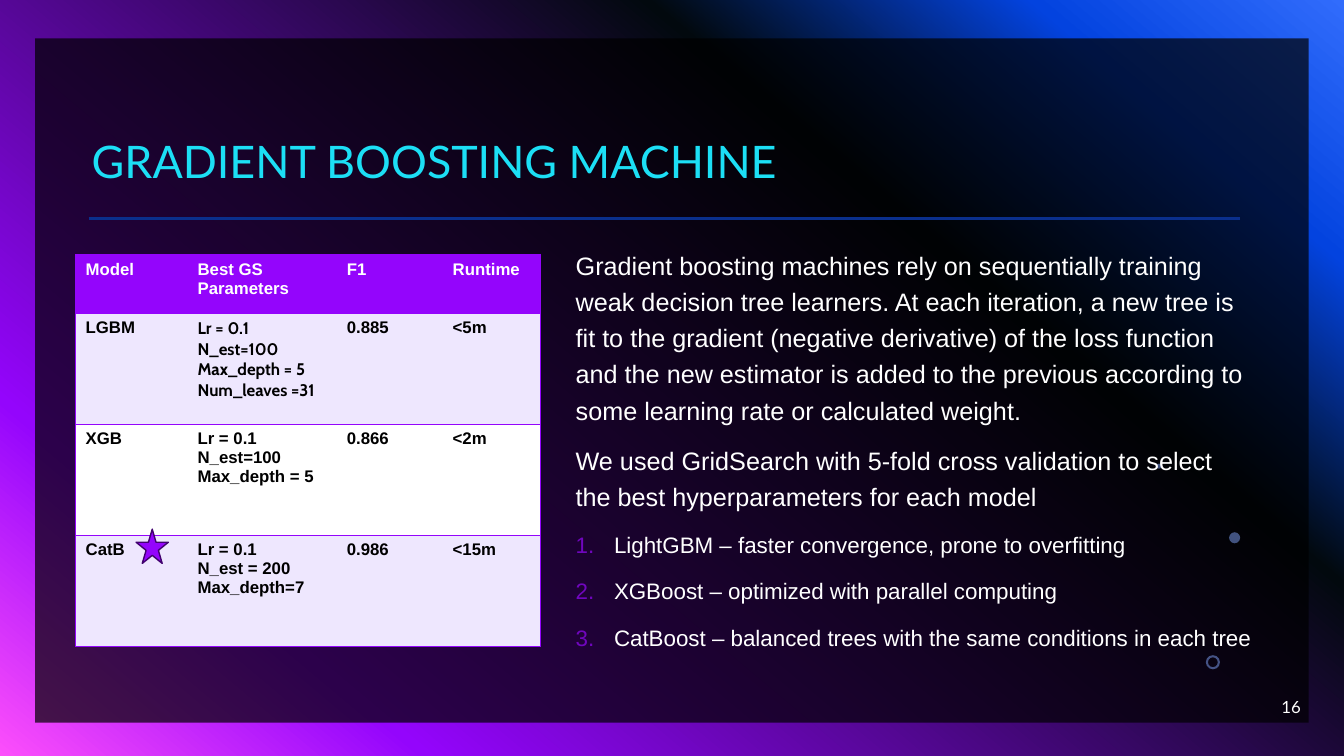
from lxml import etree
from pptx import Presentation
from pptx import util as u
from pptx.dml import color
from pptx.enum import shapes, text
from pptx.oxml import ns

PURPLE, WHITE, LAVENDER, BLACK = "9405FC", "FFFFFF", "EEE7FE", "000000"
MODELS = [
    ["Model", "Best GS Parameters", "F1", "Runtime"],
    ["LGBM", "Lr = 0.1\nN_est=100\nMax_depth = 5\nNum_leaves =31", "0.885", "<5m"],
    ["XGB", "Lr = 0.1\nN_est=100\nMax_depth = 5", "0.866", "<2m"],
    ["CatB", "Lr = 0.1\nN_est = 200\nMax_depth=7", "0.986", "<15m"],
]
PARAGRAPHS = [
    "Gradient boosting machines rely on sequentially training weak decision tree learners. "
    "At each iteration, a new tree is fit to the gradient (negative derivative) of the loss "
    "function and the new estimator is added to the previous according to some learning rate "
    "or calculated weight.",
    "We used GridSearch with 5-fold cross validation to select the best hyperparameters "
    "for each model",
]
LIBRARIES = [
    "LightGBM – faster convergence, prone to overfitting",
    "XGBoost – optimized with parallel computing",
    "CatBoost – balanced trees with the same conditions in each tree",
]


def rgb(value):
    return color.RGBColor.from_string(value)


def inches(*values):
    return [u.Inches(value) for value in values]


def add_node(parent, tag, **attributes):
    node = etree.SubElement(parent, ns.qn(tag))
    for name, value in attributes.items():
        node.set(name, str(value))
    return node


def format_runs(paragraph, size, font, fill, bold=False):
    for run in paragraph.runs:
        run.font.size, run.font.name, run.font.bold = u.Pt(size), font, bold
        run.font.color.rgb = rgb(fill)


def add_solid(slide, kind, box, fill, opacity=100, line=None):
    shape = slide.shapes.add_shape(kind, *inches(*box))
    shape.shadow.inherit = False
    shape.fill.solid()
    shape.fill.fore_color.rgb = rgb(fill)
    if opacity < 100:
        solid = shape.element.spPr.find(ns.qn("a:solidFill"))
        add_node(solid[0], "a:alpha", val=opacity * 1000)
    if line:
        shape.line.color.rgb = rgb(line)
        shape.line.width = u.Pt(1)
    else:
        shape.line.fill.background()
    return shape


def place_placeholder(shape, box):
    shape.left, shape.top, shape.width, shape.height = inches(*box)
    shape.element.getparent().append(shape.element)  # in front of the panel
    shape.text_frame.auto_size = text.MSO_AUTO_SIZE.NONE
    shape.text_frame.word_wrap = True
    return shape.text_frame


def add_backdrop(slide, box):
    # Diagonal gradient
    fill = slide.background.fill
    fill.gradient()
    fill.gradient_angle = 230
    stops = slide.element.find(".//" + ns.qn("a:gsLst"))
    for stop in list(stops):
        stops.remove(stop)
    for position, value in [(0, "316CFC"), (14, "0343DF"), (31, "02090E"),
                            (81, PURPLE), (100, "FC4EFB")]:
        add_node(add_node(stops, "a:gs", pos=position * 1000), "a:srgbClr", val=value)

    # Dark panel and the rule under the title
    left, top, width, height = box
    add_solid(slide, shapes.MSO_SHAPE.RECTANGLE, box, BLACK, 70)
    y = top + 1.79
    rule = slide.shapes.add_connector(
        shapes.MSO_CONNECTOR.STRAIGHT, *inches(left + 0.53, y, left + width - 0.68, y))
    rule.line.color.rgb = rgb("0A2F8C")
    rule.line.width = u.Pt(2)
    add_node(rule.element.spPr, "a:effectLst")

    # Ring and dots at the lower right
    oval = shapes.MSO_SHAPE.OVAL
    for kind, x, y, w, h in [(shapes.MSO_SHAPE.DONUT, 11.61, 6.12, 0.14, 0.14),
                             (oval, 11.84, 4.9, 0.11, 0.11),
                             (oval, 11.12, 4.22, 0.05, 0.05)]:
        dot = add_solid(slide, kind, (left + x, top + y, w, h), "83A7FD", 49)
        if kind != oval:
            dot.adjustments[0] = 0.15


def add_title(slide, box):
    frame = place_placeholder(slide.shapes.title, box)
    frame.vertical_anchor = text.MSO_ANCHOR.BOTTOM
    frame.text = "GRADIENT BOOSTING MACHINE"
    paragraph = frame.paragraphs[0]
    paragraph.alignment = text.PP_ALIGN.LEFT
    paragraph.line_spacing = 0.9
    format_runs(paragraph, 32, "Lato", "1CDFF5")


def add_body(slide, box):
    frame = place_placeholder(slide.placeholders[1], box)
    frame.text = "\n".join(PARAGRAPHS + LIBRARIES)
    for index, paragraph in enumerate(frame.paragraphs):
        numbered = index >= len(PARAGRAPHS)
        paragraph.line_spacing = 1.2
        paragraph.space_before = u.Pt(10)
        format_runs(paragraph, 16 if numbered else 18, "Arial", WHITE)
        properties = paragraph._p.get_or_add_pPr()
        indent = u.Inches(0.38) if numbered else 0
        properties.set("marL", str(indent))
        properties.set("indent", str(-indent))
        if numbered:
            add_node(add_node(properties, "a:buClr"), "a:srgbClr", val="7006BE")
            add_node(properties, "a:buFont", typeface="+mj-lt")
            add_node(properties, "a:buAutoNum", type="arabicPeriod")
        else:
            add_node(properties, "a:buNone")


def set_borders(cell, sides):
    properties = cell._tc.get_or_add_tcPr()
    for index, side in enumerate("LRTB"):
        border = etree.Element(ns.qn("a:ln" + side), w=str(u.Pt(1)))
        if side in sides:
            add_node(add_node(border, "a:solidFill"), "a:srgbClr", val=PURPLE)
        else:
            add_node(border, "a:noFill")
        properties.insert(index, border)


def add_model_table(slide, box):
    left, top, width, height = box
    frame = slide.shapes.add_table(len(MODELS), len(MODELS[0]), *inches(*box))
    table = frame.table
    for column, size in zip(table.columns, (1.11, 1.48, 1.05, 0.97)):
        column.width = u.Inches(size)
    for row, size in zip(table.rows, (0.58, 1.1, 1.1, 1.1)):
        row.height = u.Inches(size)
    fills = (PURPLE, LAVENDER, WHITE, LAVENDER)
    for r, values in enumerate(MODELS):
        for c, value in enumerate(values):
            cell = table.cell(r, c)
            cell.text = value
            cell.fill.solid()
            cell.fill.fore_color.rgb = rgb(fills[r])
            font = "Cabin" if (r, c) == (1, 1) else "Arial"
            for paragraph in cell.text_frame.paragraphs:
                format_runs(paragraph, 12, font, BLACK if r else WHITE, True)
            set_borders(cell, "TB" + {0: "L", len(values) - 1: "R"}.get(c, ""))

    # Star beside the best model
    add_solid(slide, shapes.MSO_SHAPE.STAR_5_POINT,
              (left + 0.6, top + 2.72, 0.32, 0.34), PURPLE, line="41026E")


def add_slide_number(slide, box):
    frame = slide.shapes.add_textbox(*inches(*box)).text_frame
    frame.word_wrap = True
    frame.vertical_anchor = text.MSO_ANCHOR.MIDDLE
    frame.text = "16"
    frame.paragraphs[0].alignment = text.PP_ALIGN.RIGHT
    format_runs(frame.paragraphs[0], 12, "Lato", WHITE)


def main():
    presentation = Presentation()
    presentation.slide_width, presentation.slide_height = inches(13.33, 7.5)
    slide = presentation.slides.add_slide(presentation.slide_layouts[1])
    add_backdrop(slide, (0.35, 0.38, 12.63, 6.79))
    add_title(slide, (0.81, 0.47, 11.48, 1.45))
    add_body(slide, (5.61, 2.37, 6.91, 4.07))
    add_slide_number(slide, (10, 6.81, 3, 0.4))
    add_model_table(slide, (0.75, 2.53, 4.61, 3.89))
    presentation.save("out.pptx")


if __name__ == "__main__":
    main()
